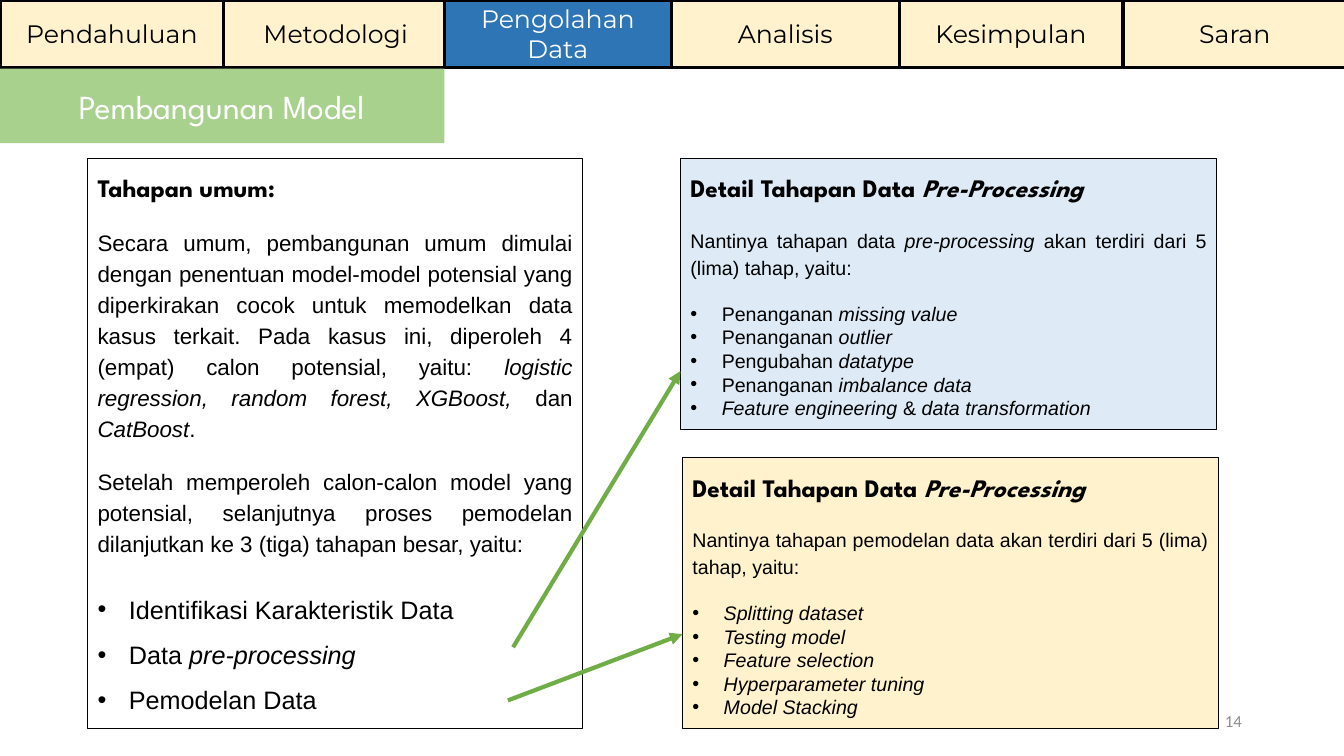
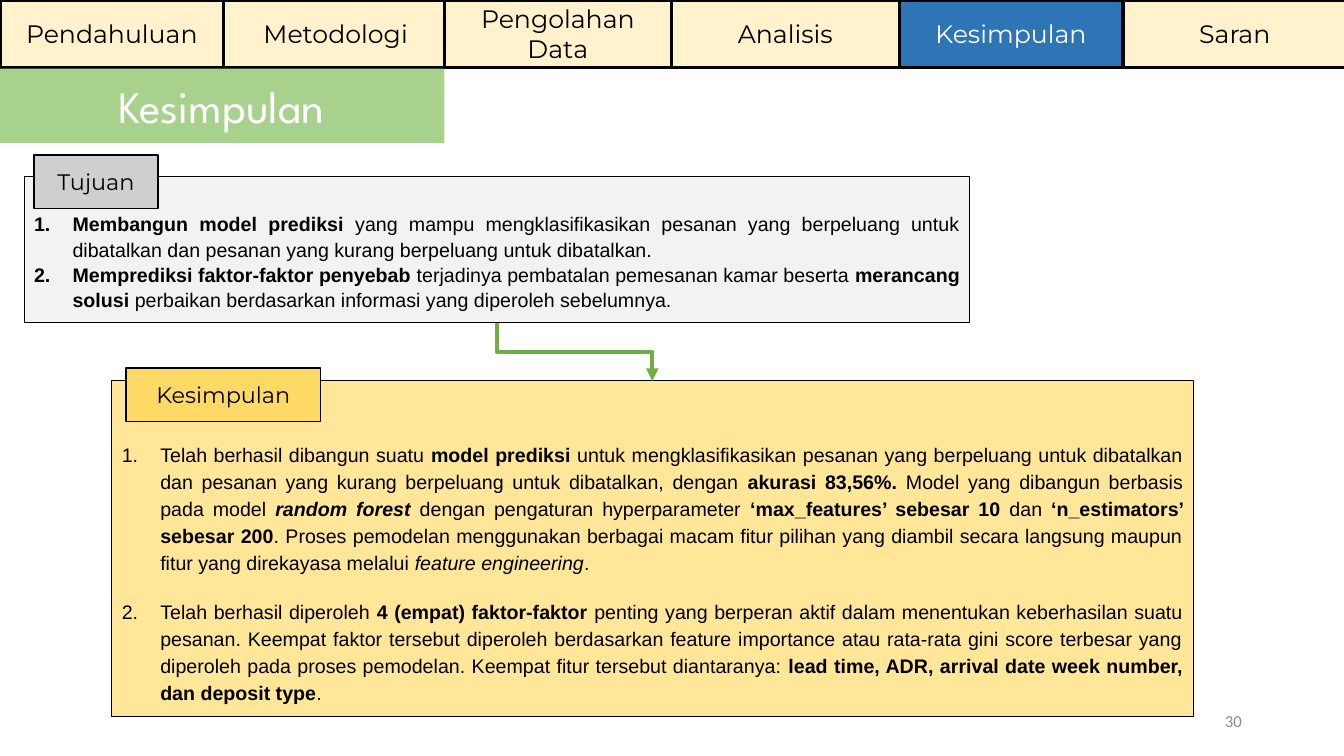
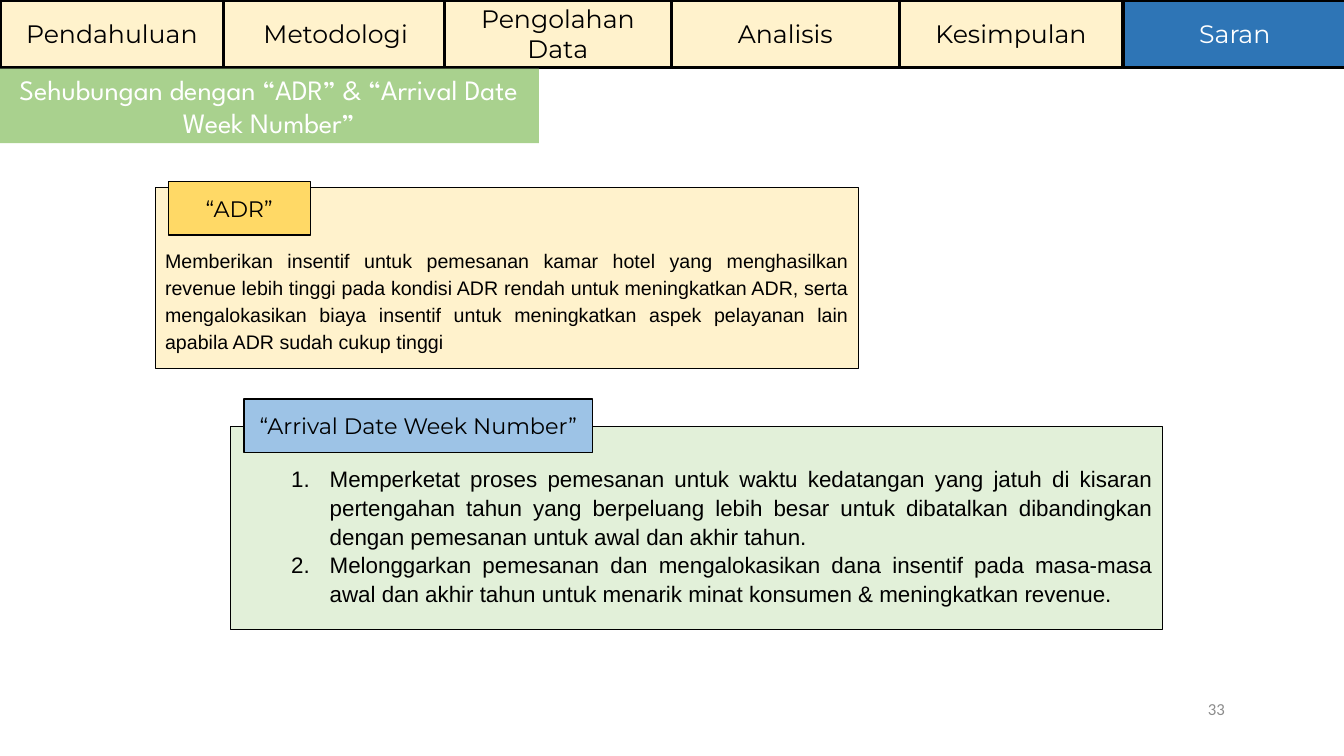
"""Build three slides on model building, conclusions and suggestions."""
from lxml.etree import SubElement
from pptx import Presentation
from pptx.dml.color import RGBColor
from pptx.enum.shapes import MSO_CONNECTOR, MSO_SHAPE
from pptx.enum.text import MSO_ANCHOR, PP_ALIGN
from pptx.oxml.ns import qn
from pptx.util import Cm, Pt

COLOURS = {
    "black": "000000", "white": "FFFFFF", "grey": "8C8C8C", "cream": "FFF2CC",
    "blue": "2E75B6", "green": "A9D18E", "arrow": "70AD47", "ice": "DEEBF7",
    "sand": "FFE699", "gold": "FFD966", "mist": "F2F2F2", "stone": "D0CECE",
    "sky": "9DC3E6", "mint": "E2F0D9",
}
CENTRE, JUSTIFY, RIGHT = PP_ALIGN.CENTER, PP_ALIGN.JUSTIFY, PP_ALIGN.RIGHT
STYLES = {
    "tab": dict(font="Montserrat", size=18, align=CENTRE),
    "active tab": dict(font="Montserrat", size=18, align=CENTRE, colour="white"),
    "tag": dict(font="Montserrat", size=16, align=CENTRE),
    "number": dict(font="Calibri", size=12, align=RIGHT, colour="grey"),
    "heading": dict(font="League Spartan", size=18, spacing=1.15, after=16),
    "text": dict(size=16, spacing=1.15, after=16),
    "small text": dict(size=14, spacing=1.15, after=16),
    "step": dict(size=18, spacing=1.5, indent=0.79, hang=0.79, bullet="•"),
    "small step": dict(size=14, indent=0.79, hang=0.79, bullet="•"),
    "goal": dict(size=14, spacing=1.07, indent=0.97, hang=0.97, bullet="1."),
    "finding": dict(size=14, spacing=1.15, after=16, indent=0.97, hang=0.97, bullet="1."),
    "advice": dict(size=16, spacing=1.07, indent=2.24, hang=0.97, bullet="1."),
}
for title_size in (20, 24, 32):
    STYLES[f"title {title_size}"] = dict(
        font="League Spartan", size=title_size, align=CENTRE, colour="white")

TABS = [
    ("Pendahuluan", 0, 5.64), ("Metodologi", 5.64, 5.64),
    ("Pengolahan Data", 11.2, 5.72), ("Analisis", 16.92, 5.74),
    ("Kesimpulan", 22.66, 5.64), ("Saran", 28.3, 5.64),
]


def add_box(page, place, fill, line_width=0):
    box = page.shapes.add_shape(MSO_SHAPE.RECTANGLE, *[Cm(length) for length in place])
    box.shadow.inherit = False
    if fill:
        box.fill.solid()
        box.fill.fore_color.rgb = RGBColor.from_string(COLOURS[fill])
    else:
        box.fill.background()
    if line_width:
        box.line.color.rgb = RGBColor.from_string(COLOURS["black"])
        box.line.width = Pt(line_width)
    else:
        box.line.fill.background()
    return box


def write(box, paragraphs):
    frame = box.text_frame
    frame.word_wrap = True
    for index, (style_name, spans) in enumerate(paragraphs):
        style = STYLES[style_name]
        para = frame.add_paragraph() if index else frame.paragraphs[0]
        para.alignment = style.get("align", JUSTIFY)
        para.line_spacing = style.get("spacing", 1.0)
        para.space_after = Pt(style.get("after", 0))
        if "bullet" in style:
            properties = para._p.get_or_add_pPr()
            properties.set("marL", str(Cm(style["indent"])))
            properties.set("indent", str(-Cm(style["hang"])))
            SubElement(properties, qn("a:buFont"), typeface="Arial")
            if style["bullet"] == "1.":
                SubElement(properties, qn("a:buAutoNum"), type="arabicPeriod")
            else:
                SubElement(properties, qn("a:buChar"), char=style["bullet"])
        for words, emphasis in spans:
            span = para.add_run()
            span.text = words
            span.font.name = style.get("font", "Arial")
            span.font.size = Pt(style["size"])
            span.font.bold = "b" in emphasis
            span.font.italic = "i" in emphasis
            span.font.color.rgb = RGBColor.from_string(COLOURS[style.get("colour", "black")])


detail_heading = ("heading", [("Detail Tahapan Data ", "b"), ("Pre-Processing", "bi")])

general_stages = [
    ("heading", [("Tahapan umum:", "b")]),
    ("text", [
        ("Secara umum, pembangunan umum dimulai dengan penentuan model-model potensial "
         "yang diperkirakan cocok untuk memodelkan data kasus terkait. Pada kasus ini, "
         "diperoleh 4 (empat) calon potensial, yaitu: ", ""),
        ("logistic regression, random forest, XGBoost, ", "i"),
        ("dan ", ""), ("CatBoost", "i"), (".", "")]),
    ("text", [
        ("Setelah memperoleh calon-calon model yang potensial, selanjutnya proses "
         "pemodelan dilanjutkan ke 3 (tiga) tahapan besar, yaitu:", "")]),
    ("step", [("Identifikasi Karakteristik Data", "")]),
    ("step", [("Data ", ""), ("pre-processing", "i")]),
    ("step", [("Pemodelan Data", "")]),
]
preparation = [
    detail_heading,
    ("small text", [
        ("Nantinya tahapan data ", ""), ("pre-processing ", "i"),
        ("akan terdiri dari 5 (lima) tahap, yaitu:", "")]),
    ("small step", [("Penanganan ", ""), ("missing value", "i")]),
    ("small step", [("Penanganan ", ""), ("outlier", "i")]),
    ("small step", [("Pengubahan ", ""), ("datatype", "i")]),
    ("small step", [("Penanganan ", ""), ("imbalance data", "i")]),
    ("small step", [
        ("Feature engineering ", "i"), ("& ", ""), ("data transformation", "i")]),
]
modelling = [
    detail_heading,
    ("small text", [
        ("Nantinya tahapan pemodelan data akan terdiri dari 5 (lima) tahap, yaitu:", "")]),
]
for step in ("Splitting dataset", "Testing model", "Feature selection",
             "Hyperparameter tuning", "Model Stacking"):
    modelling.append(("small step", [(step, "i")]))

goals = [
    ("goal", [
        ("Membangun model prediksi ", "b"),
        ("yang mampu mengklasifikasikan pesanan yang berpeluang untuk dibatalkan dan "
         "pesanan yang kurang berpeluang untuk dibatalkan.", "")]),
    ("goal", [
        ("Memprediksi faktor-faktor penyebab ", "b"),
        ("terjadinya pembatalan pemesanan kamar beserta ", ""),
        ("merancang solusi ", "b"),
        ("perbaikan berdasarkan informasi yang diperoleh sebelumnya.", "")]),
]
findings = [
    ("finding", [
        ("Telah berhasil dibangun suatu ", ""), ("model prediksi ", "b"),
        ("untuk mengklasifikasikan pesanan yang berpeluang untuk dibatalkan dan pesanan "
         "yang kurang berpeluang untuk dibatalkan, dengan ", ""),
        ("akurasi 83,56%. ", "b"), ("Model yang dibangun berbasis pada model ", ""),
        ("random forest ", "bi"), ("dengan pengaturan hyperparameter ", ""),
        ("‘max_features’ sebesar 10 ", "b"), ("dan ", ""),
        ("‘n_estimators’ sebesar 200", "b"),
        (". Proses pemodelan menggunakan berbagai macam fitur pilihan yang diambil "
         "secara langsung maupun fitur yang direkayasa melalui ", ""),
        ("feature engineering", "i"), (".", "")]),
    ("finding", [
        ("Telah berhasil diperoleh ", ""), ("4 (empat) faktor-faktor ", "b"),
        ("penting yang berperan aktif dalam menentukan keberhasilan suatu pesanan. "
         "Keempat faktor tersebut diperoleh berdasarkan feature importance atau "
         "rata-rata gini score terbesar yang diperoleh pada proses pemodelan. Keempat "
         "fitur tersebut diantaranya: ", ""),
        ("lead time, ADR, arrival date week number, dan deposit type", "b"), (".", "")]),
]
rate_advice = [
    ("small text", [
        ("Memberikan insentif untuk pemesanan kamar hotel yang menghasilkan revenue "
         "lebih tinggi pada kondisi ADR rendah untuk meningkatkan ADR, serta "
         "mengalokasikan biaya insentif untuk meningkatkan aspek pelayanan lain apabila "
         "ADR sudah cukup tinggi", "")]),
]
week_advice = [
    ("advice", [
        ("Memperketat proses pemesanan untuk waktu kedatangan yang jatuh di kisaran "
         "pertengahan tahun yang berpeluang lebih besar untuk dibatalkan dibandingkan "
         "dengan pemesanan untuk awal dan akhir tahun.", "")]),
    ("advice", [
        ("Melonggarkan pemesanan dan mengalokasikan dana insentif pada masa-masa awal "
         "dan akhir tahun untuk menarik minat konsumen & meningkatkan revenue.", "")]),
]

STRAIGHT, ELBOW = MSO_CONNECTOR.STRAIGHT, MSO_CONNECTOR.ELBOW
PAGES = [
    dict(
        active="Pengolahan Data", title="Pembangunan Model", title_size=24,
        title_width=11.23, number="14", number_at=(23.93, 17.65),
        panels=[
            ((2.21, 3.99, 12.47, 14.38), None, 0.25, general_stages),
            ((17.15, 3.99, 13.51, 6.83), "ice", 0.25, preparation),
            ((17.2, 11.53, 13.51, 6.83), "cream", 0.25, modelling)],
        arrows=[
            (STRAIGHT, (12.93, 16.31, 17.15, 9.35), 0),
            (STRAIGHT, (12.8, 17.65, 17.2, 15.98), 0)],
        tags=[]),
    dict(
        active="Kesimpulan", title="Kesimpulan", title_size=32,
        title_width=11.23, number="30", number_at=(23.93, 17.65),
        panels=[
            ((2.82, 9.6, 27.25, 8.46), "sand", 1.47, findings),
            ((0.61, 4.45, 23.83, 3.68), "mist", 0.86, goals)],
        arrows=[(ELBOW, (15.21, 6.92, 13.76, 10.83), 270)],
        tags=[
            ("Tujuan", (0.86, 3.91, 3.12, 1.35), "stone"),
            ("Kesimpulan", (3.18, 9.27, 4.9, 1.35), "gold")]),
    dict(
        active="Saran", title="Sehubungan dengan “ADR” & “Arrival Date Week Number”",
        title_size=20, title_width=13.61, number="33", number_at=(23.5, 17.35),
        panels=[
            ((5.82, 10.74, 23.47, 5.13), "mint", 0.94, week_advice),
            ((3.91, 4.72, 17.73, 4.57), "cream", 1.47, rate_advice)],
        arrows=[],
        tags=[
            ("“ADR”", (4.24, 4.57, 3.58, 1.35), "gold"),
            ("“Arrival Date Week Number”", (6.15, 10.06, 8.79, 1.35), "sky")]),
]

deck = Presentation()
deck.slide_width, deck.slide_height = Cm(33.87), Cm(19.05)

for content in PAGES:
    page = deck.slides.add_slide(deck.slide_layouts[6])

    left, top = content["number_at"]
    number_box = page.shapes.add_textbox(Cm(left), Cm(top), Cm(7.62), Cm(1.01))
    number_box.text_frame.vertical_anchor = MSO_ANCHOR.MIDDLE
    write(number_box, [("number", [(content["number"], "")])])

    for label, left, width in TABS:
        active = label == content["active"]
        tab = add_box(page, (left, 0, width, 1.7), "blue" if active else "cream", 2.25)
        write(tab, [("active tab" if active else "tab", [(label, "")])])

    banner = add_box(page, (-0.03, 1.73, content["title_width"], 1.88), "green")
    write(banner, [(f"title {content['title_size']}", [(content["title"], "")])])

    for place, fill, top_inset, paragraphs in content["panels"]:
        panel = add_box(page, place, fill, 0.75)
        frame = panel.text_frame
        frame.vertical_anchor = MSO_ANCHOR.TOP
        frame.margin_left = frame.margin_right = frame.margin_bottom = Cm(0.25)
        frame.margin_top = Cm(top_inset)
        write(panel, paragraphs)

    for kind, ends, turn in content["arrows"]:
        arrow = page.shapes.add_connector(kind, *[Cm(length) for length in ends])
        arrow.line.color.rgb = RGBColor.from_string(COLOURS["arrow"])
        arrow.line.width = Pt(3)
        properties = arrow._element.spPr
        SubElement(properties.find(qn("a:ln")), qn("a:tailEnd"), type="triangle")
        SubElement(properties, qn("a:effectLst"))
        if turn:
            properties.find(qn("a:xfrm")).set("rot", str(turn * 60000))

    for label, place, fill in content["tags"]:
        tag = add_box(page, place, fill, 1)
        write(tag, [("tag", [(label, "")])])

deck.save("out.pptx")
